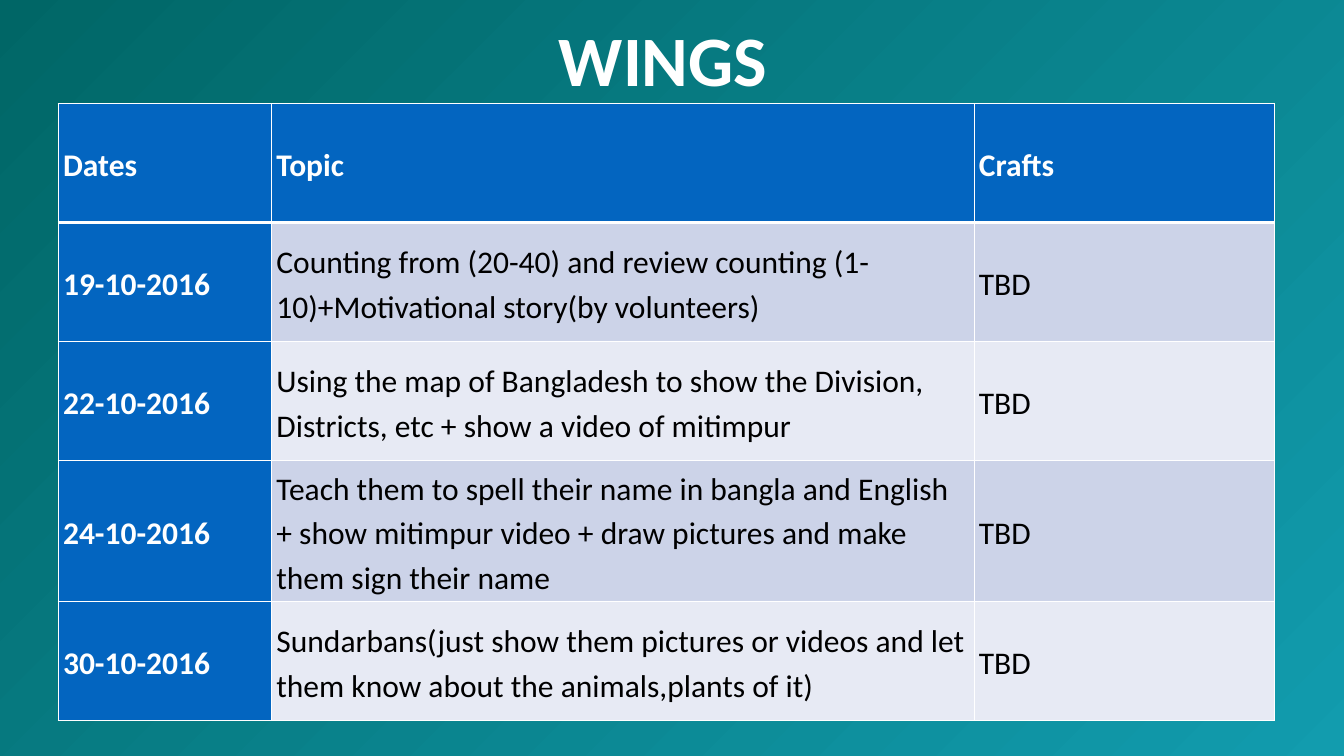
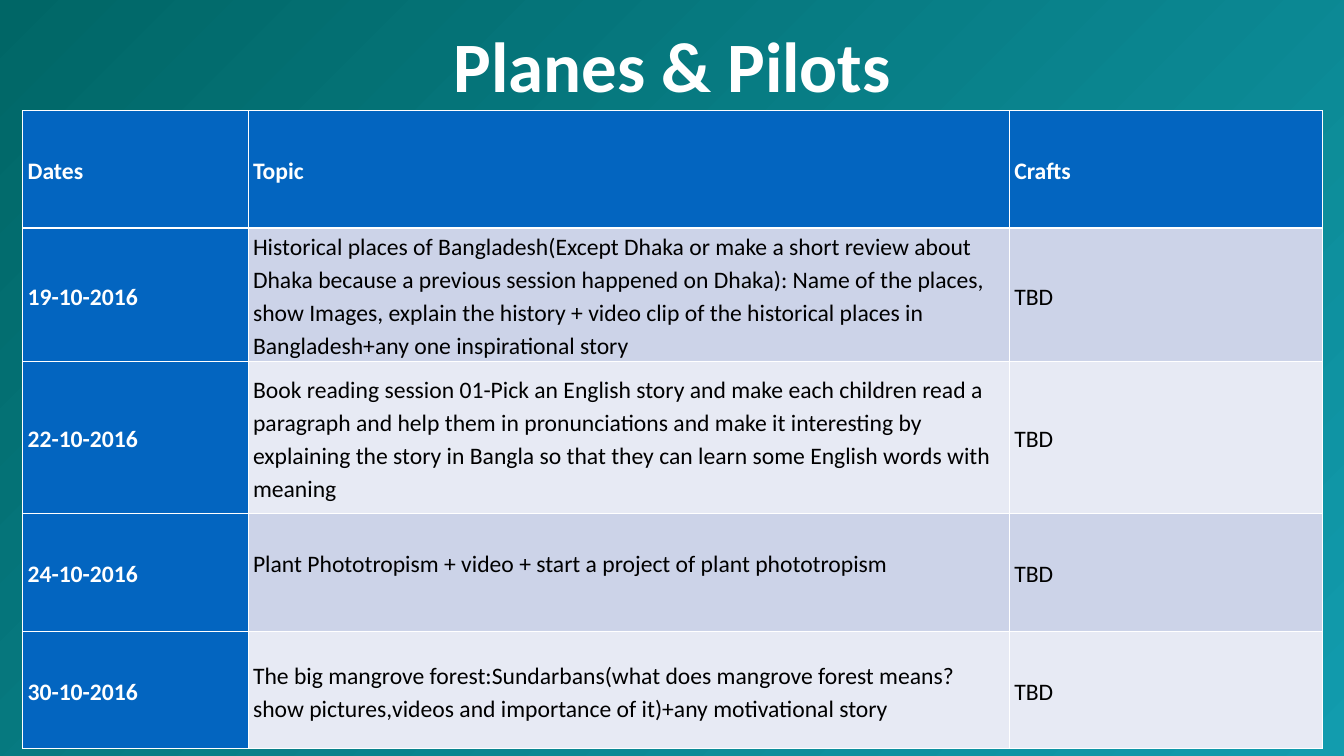
from lxml.etree import SubElement
from pptx import Presentation
from pptx.dml.color import RGBColor
from pptx.enum.shapes import MSO_SHAPE
from pptx.enum.text import MSO_ANCHOR, MSO_AUTO_SIZE, PP_ALIGN
from pptx.oxml.ns import qn
from pptx.util import Inches, Pt

WHITE = RGBColor(0xFF, 0xFF, 0xFF)
BLACK = RGBColor(0, 0, 0)
TEAL_DARK = RGBColor(0x00, 0x66, 0x66)
TEAL_LIGHT = RGBColor(0x12, 0x9C, 0xAE)
BLUE = RGBColor(0x03, 0x65, 0xC0)
BANDS = (RGBColor(0xE7, 0xEA, 0xF4), RGBColor(0xCC, 0xD3, 0xE8))
FONT = "Calibri"
SLIDE_WIDTH, SLIDE_HEIGHT = 18.96, 10.67

HEADINGS = ("Dates", "Topic", "Crafts")
DATES = ("19-10-2016", "22-10-2016", "24-10-2016", "30-10-2016")
CRAFT = "TBD"

SCHEDULES = (
    {
        "title": "WINGS",
        "title_box": (6.98, 0.17, 4.75, 1.31),
        "table_box": (0.82, 1.46, 17.16, 8.71),
        "columns": (3.01, 9.91, 4.24),
        "rows": (1.68, 1.68, 1.68, 1.99, 1.68),
        "size": 32,
        "topics": (
            "Counting from (20-40) and review counting (1-10)+Motivational story(by volunteers)",
            "Using the map of Bangladesh to show the Division, Districts, etc + show a video of mitimpur",
            "Teach them to spell their name in bangla and English + show mitimpur video "
            "+ draw pictures and make them sign their name",
            "Sundarbans(just show them pictures or videos and let them know about the "
            "animals,plants of it)",
        ),
        "tight_rows": (),
    },
    {
        "title": "Planes & Pilots",
        "title_box": (4.82, 0.25, 9.33, 1.31),
        "table_box": (0.32, 1.56, 18.33, 8.98),
        "columns": (3.18, 10.74, 4.41),
        "rows": (1.66, 1.72, 2.15, 1.66, 1.66),
        "size": 24,
        "topics": (
            "Historical places of Bangladesh(Except Dhaka or make a short review about Dhaka "
            "because a previous session happened on Dhaka): Name of the places, show Images, "
            "explain the history + video clip of the historical places in Bangladesh+any one "
            "inspirational story",
            "Book reading session 01-Pick an English story and make each children read a "
            "paragraph and help them in pronunciations and make it interesting by explaining "
            "the story in Bangla so that they can learn some English words with meaning",
            "Plant Phototropism + video + start a project of plant phototropism",
            "The big mangrove forest:Sundarbans(what does mangrove forest means? show "
            "pictures,videos and importance of it)+any motivational story",
        ),
        "tight_rows": (3,),
    },
)


def set_font(paragraph, size, color, bold):
    """Apply the deck font to a paragraph."""
    font = paragraph.font
    font.name, font.size, font.bold = FONT, Pt(size), bold
    font.color.rgb = color


def add_backdrop(slide, box):
    """Fill the box with the diagonal teal gradient."""
    backdrop = slide.shapes.add_shape(MSO_SHAPE.RECTANGLE, *map(Inches, box))
    backdrop.shadow.inherit = False
    backdrop.line.fill.background()
    backdrop.fill.gradient()
    backdrop.fill.gradient_angle = 315
    for stop, color, position in zip(
        backdrop.fill.gradient_stops, (TEAL_DARK, TEAL_LIGHT), (0, 1)
    ):
        stop.color.rgb = color
        stop.position = position
    tree = slide.shapes.element
    tree.remove(backdrop.element)
    tree.insert(2, backdrop.element)


def place_title(slide, text, box):
    """Move the title placeholder into the box and format it."""
    title = slide.shapes.title
    title.left, title.top, title.width, title.height = map(Inches, box)
    frame = title.text_frame
    frame.text = text
    frame.word_wrap = True
    frame.auto_size = MSO_AUTO_SIZE.NONE
    frame.vertical_anchor = MSO_ANCHOR.TOP
    paragraph = frame.paragraphs[0]
    paragraph.alignment = PP_ALIGN.CENTER
    set_font(paragraph, 72, WHITE, True)


def set_borders(cell, top, bottom):
    """Draw white borders around a cell, with widths in points."""
    properties = cell._tc.get_or_add_tcPr()
    for side, width in (("L", 1), ("R", 1), ("T", top), ("B", bottom)):
        line = SubElement(properties, qn(f"a:ln{side}"), w=str(Pt(width)))
        fill = SubElement(line, qn("a:solidFill"))
        SubElement(fill, qn("a:srgbClr"), val=str(WHITE))


def format_cell(cell, row, column, size, tight):
    """Style a cell according to its place in the schedule."""
    heading = row == 0 or column == 0
    set_borders(cell, 3 if row == 1 else 1, 3 if row == 0 else 1)
    cell.fill.solid()
    cell.fill.fore_color.rgb = BLUE if heading else BANDS[row % 2]
    cell.vertical_anchor = MSO_ANCHOR.MIDDLE
    cell.margin_left = cell.margin_right = Inches(0.07)
    cell.margin_top, cell.margin_bottom = Inches(0.01), 0
    paragraph = cell.text_frame.paragraphs[0]
    paragraph.line_spacing = Pt(13.2) if tight else 1.15
    paragraph.space_before = Pt(4.5 if tight else 0)
    paragraph.space_after = Pt(4.5 if tight else 10)
    set_font(paragraph, size, WHITE if heading else BLACK, heading)


def add_schedule_table(slide, schedule):
    """Place the table of dates, topics and crafts in its box."""
    records = [HEADINGS] + [
        (date, topic, CRAFT) for date, topic in zip(DATES, schedule["topics"])
    ]
    table = slide.shapes.add_table(
        len(records), len(HEADINGS), *map(Inches, schedule["table_box"])
    ).table
    for column, width in zip(table.columns, schedule["columns"]):
        column.width = Inches(width)
    for row, height in zip(table.rows, schedule["rows"]):
        row.height = Inches(height)
    for row, record in enumerate(records):
        for column, text in enumerate(record):
            cell = table.cell(row, column)
            cell.text = text
            tight = column == 1 and row in schedule["tight_rows"]
            format_cell(cell, row, column, schedule["size"], tight)


def add_schedule_slide(presentation, schedule):
    """Build one class schedule slide."""
    slide = presentation.slides.add_slide(presentation.slide_layouts[5])
    add_backdrop(slide, (0, 0, SLIDE_WIDTH, SLIDE_HEIGHT))
    place_title(slide, schedule["title"], schedule["title_box"])
    add_schedule_table(slide, schedule)


def main():
    """Build and save the presentation."""
    presentation = Presentation()
    presentation.slide_width = Inches(SLIDE_WIDTH)
    presentation.slide_height = Inches(SLIDE_HEIGHT)
    for schedule in SCHEDULES:
        add_schedule_slide(presentation, schedule)
    presentation.save("out.pptx")


main()
